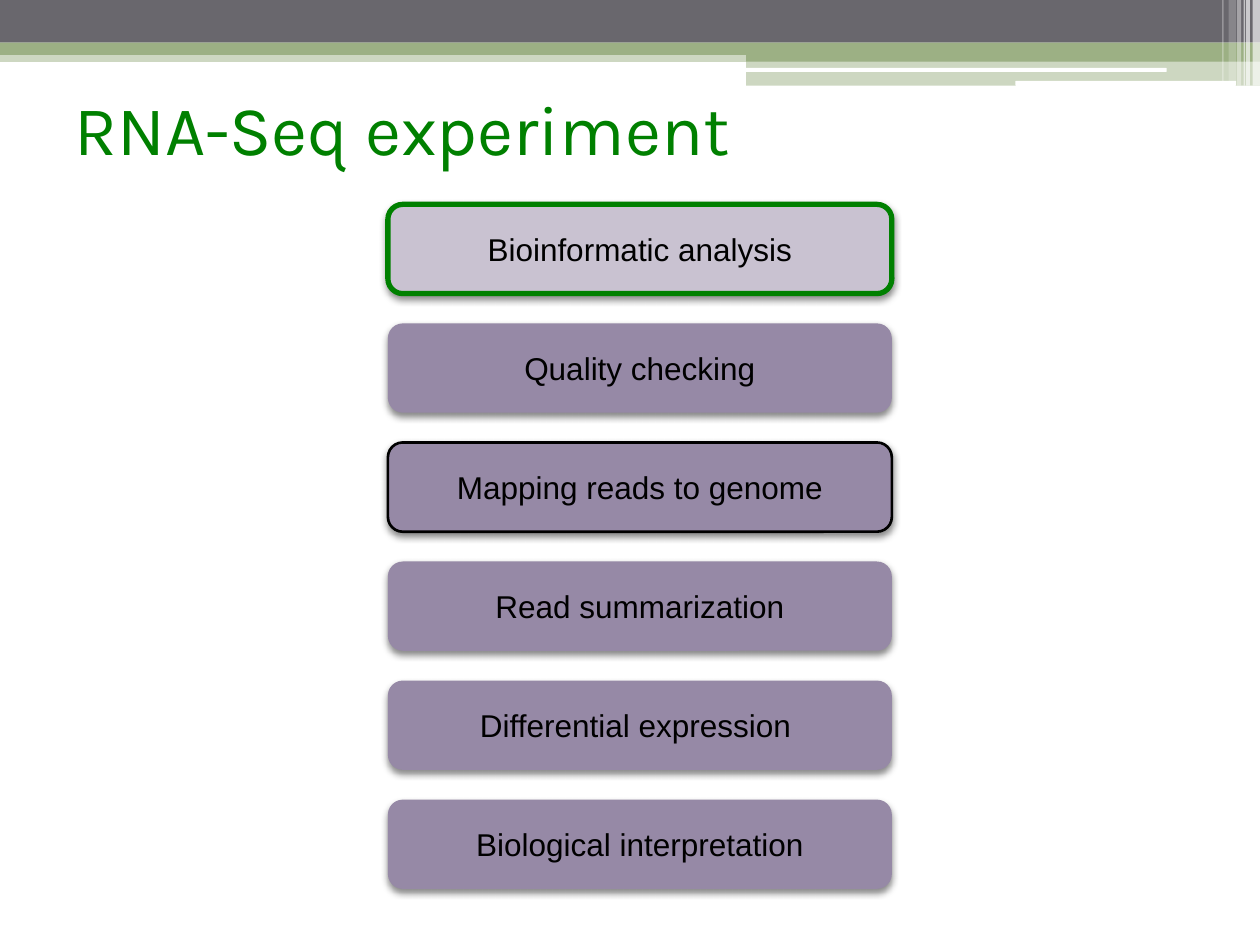
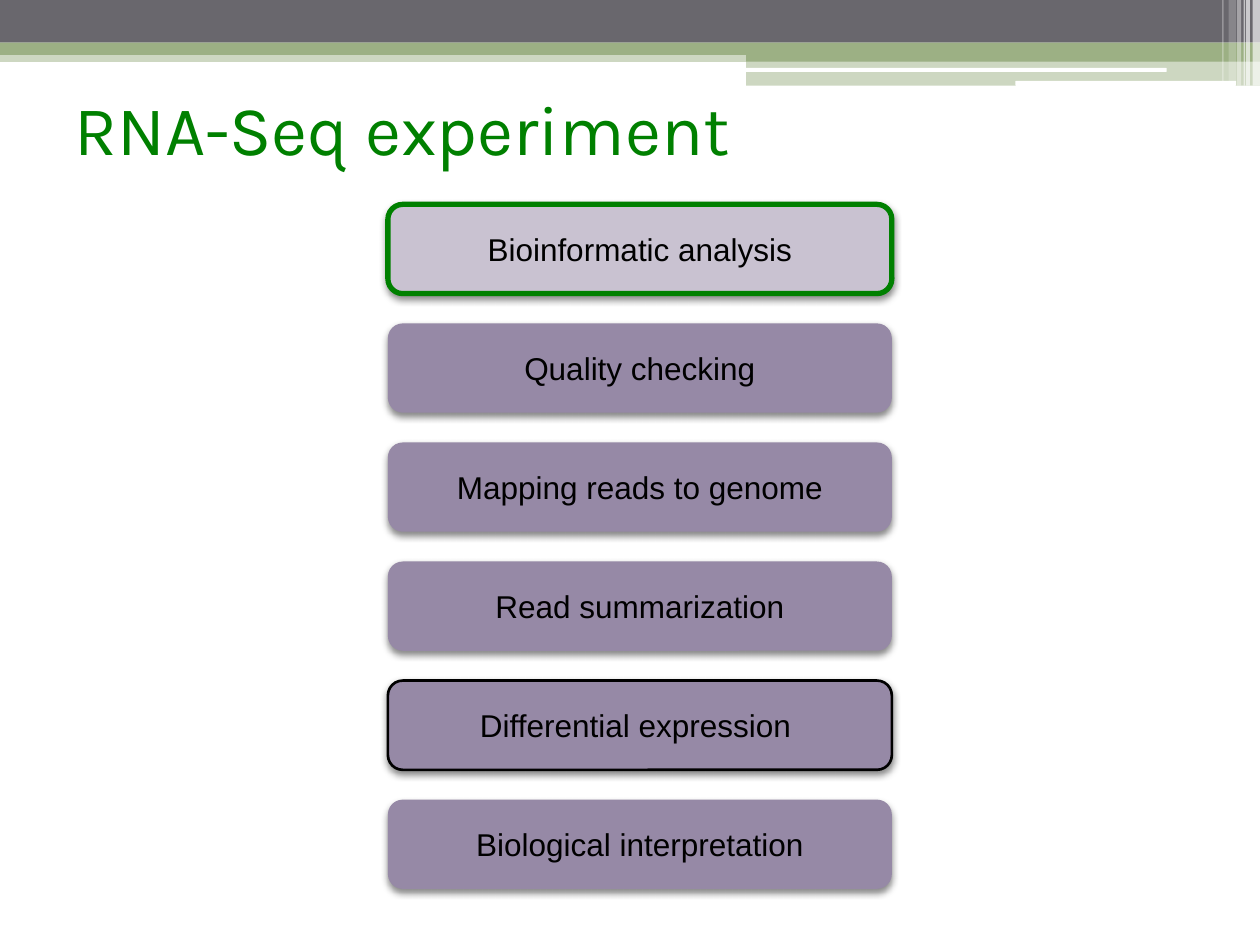
import pptx
import pptx.util
import pptx.dml.color
import pptx.enum.shapes
import pptx.enum.text
import pptx.oxml
import pptx.oxml.ns

Cm, Pt = pptx.util.Cm, pptx.util.Pt
Kind = pptx.enum.shapes.MSO_SHAPE
Align = pptx.enum.text.PP_ALIGN
Anchor = pptx.enum.text.MSO_ANCHOR
qn = pptx.oxml.ns.qn

HUES = {
    "slate": "69676D", "sage": "9CB084", "white": "FFFFFF", "black": "000000",
    "green": "008000", "pale": "C9C2D1", "mauve": "9689A6",
}
TITLE = "RNA-Seq experiment"
STEPS = [
    "Bioinformatic analysis",
    "Quality checking",
    "Mapping reads to genome",
    "Read summarization",
    "Differential expression ",
    "Biological interpretation",
]
FOCUS = [2, 4]  # step outlined in black on each slide

# Header: left, top, width, height, hue, opacity in percent
BANDS = [
    (0, 1.02, 25.4, 0.23, "sage", 50),
    (0, 0, 25.4, 0.86, "slate", 100),
    (0, 0.86, 25.4, 0.25, "sage", 100),
    (15.04, 0.99, 10.36, 0.25, "sage", 100),
    (15.04, 1.22, 10.36, 0.51, "sage", 50),
]
BARS = [
    (15.01, 1.37, 8.51, 0.08),
    (20.47, 1.63, 4.45, 0.1),
]
# Stripes at the right edge: left, width, height, opacity
STRIPES = [
    (25.25, 0.15, 1.73, 65),
    (25.12, 0.08, 1.73, 65),
    (25.07, 0.03, 1.73, 60),
    (24.94, 0.08, 1.73, 40),
    (24.77, 0.15, 1.63, 20),
    (24.64, 0.03, 1.63, 30),
]
SHADE = (
    f'<a:effectLst {pptx.oxml.ns.nsdecls("a")}>'
    f'<a:outerShdw blurRad="{Pt(4)}" dist="{Pt(2)}" dir="5400000" rotWithShape="0">'
    f'<a:srgbClr val="{HUES["black"]}"><a:alpha val="45000"/></a:srgbClr>'
    '</a:outerShdw></a:effectLst>'
)


def rgb(hue):
    return pptx.dml.color.RGBColor.from_string(HUES[hue])


def apply(target, values):
    for name, value in values.items():
        setattr(target, name, value)


class Deck:
    """Holds the style and the current slide."""
    head = {"name": "Karla", "size": Pt(40)}
    label = {"name": "Arial", "size": Pt(18)}
    place = {"left": Cm(1.5), "top": Cm(1.73), "width": Cm(23.5), "height": Cm(2.39)}
    flush = {
        "margin_left": 0, "margin_top": 0, "margin_right": 0, "margin_bottom": 0,
        "vertical_anchor": Anchor.TOP, "word_wrap": True,
        "auto_size": pptx.enum.text.MSO_AUTO_SIZE.NONE,
    }
    middle = {"vertical_anchor": Anchor.MIDDLE, "word_wrap": True}

    def __init__(self):
        self.prs = pptx.Presentation()
        apply(self.prs, {"slide_width": Cm(25.4), "slide_height": Cm(19.05)})

    def page(self, title):
        self.slide = self.prs.slides.add_slide(self.prs.slide_layouts[5])
        self.header()
        self.title(title)

    def words(self, frame, text, font, hue, align):
        frame.text = text
        para = frame.paragraphs[0]
        para.alignment = align
        apply(para.runs[0].font, font)
        para.runs[0].font.color.rgb = rgb(hue)

    def title(self, text):
        box = self.slide.shapes.title
        apply(box, self.place)
        apply(box.text_frame, self.flush)
        self.words(box.text_frame, text, self.head, "green", Align.LEFT)

    def block(self, left, top, width, height, hue, alpha=100, kind=Kind.RECTANGLE):
        shape = self.slide.shapes.add_shape(
            kind, Cm(left), Cm(top), Cm(width), Cm(height))
        shape.shadow.inherit = False
        shape.fill.solid()
        shape.fill.fore_color.rgb = rgb(hue)
        shape.line.fill.background()
        if alpha < 100:
            props = shape._element.spPr
            color = props.find(f"{qn('a:solidFill')}/{qn('a:srgbClr')}")
            color.append(color.makeelement(qn("a:alpha"), {"val": str(alpha * 1000)}))
        return shape

    def header(self):
        for band in BANDS:
            self.block(*band)
        for bar in BARS:
            self.block(*bar, "white", kind=Kind.ROUNDED_RECTANGLE)
        for left, width, height, alpha in STRIPES:
            self.block(left, 0, width, height, "white", alpha)

    def step(self, row, text, hue, edge=None, weight=0):
        box = self.block(7.82, 4.12 + 2.4 * row, 10.16, 1.8, hue,
                         kind=Kind.ROUNDED_RECTANGLE)
        if edge:
            box.line.color.rgb = rgb(edge)
            box.line.width = Pt(weight)
        props = box._element.spPr
        props.replace(props.find(qn("a:effectLst")), pptx.oxml.parse_xml(SHADE))
        apply(box.text_frame, self.middle)
        self.words(box.text_frame, text, self.label, "black", Align.CENTER)


def main():
    deck = Deck()
    for focus in FOCUS:
        deck.page(TITLE)
        for row, text in enumerate(STEPS):
            if row == 0:
                deck.step(row, text, "pale", "green", 3)
            elif row == focus:
                deck.step(row, text, "mauve", "black", 1.5)
            else:
                deck.step(row, text, "mauve")
    deck.prs.save("out.pptx")


if __name__ == "__main__":
    main()
